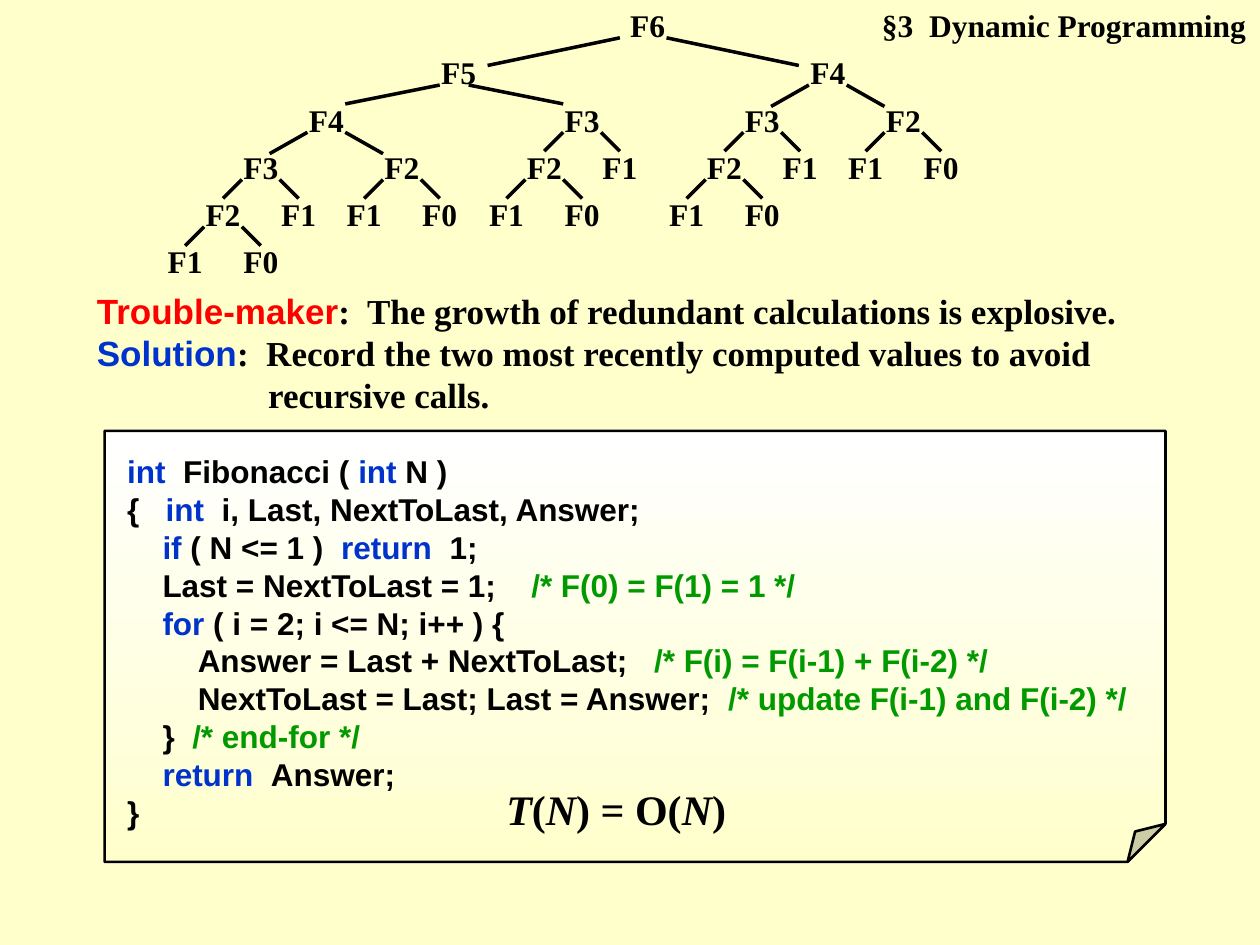
from lxml.etree import SubElement
from pptx import Presentation
from pptx.dml.color import RGBColor
from pptx.enum.shapes import MSO_CONNECTOR, MSO_SHAPE
from pptx.enum.text import MSO_ANCHOR, MSO_AUTO_SIZE, PP_ALIGN
from pptx.oxml.ns import qn
from pptx.util import Inches, Pt

BLACK, BLUE, RED, GREEN = "000000", "0033CC", "FF0000", "009900"
CREAM, WHITE = "FFFFCC", "FFFFFF"
SERIF, SANS = "Times New Roman", "Arial"


def colour(value):
    return RGBColor.from_string(value)


def write(para, text, size=18, font=SERIF, ink=BLACK, italic=False):
    span = para.add_run()
    span.text = text
    span.font.name = font
    span.font.size = Pt(size)
    span.font.bold = True
    span.font.italic = italic
    span.font.color.rgb = colour(ink)


deck = Presentation()
deck.slide_width, deck.slide_height = Inches(10), Inches(7.5)
page = deck.slides.add_slide(deck.slide_layouts[5])
page.background.fill.solid()
page.background.fill.fore_color.rgb = colour(CREAM)

# Section title
title = page.shapes.title
title.left, title.top = Inches(6.5), Inches(0)
title.width, title.height = Inches(3.49), Inches(0.4)
title.text_frame.auto_size = MSO_AUTO_SIZE.NONE
title.text_frame.vertical_anchor = MSO_ANCHOR.TOP
title.text_frame.paragraphs[0].alignment = PP_ALIGN.RIGHT
write(title.text_frame.paragraphs[0], "§3  Dynamic Programming")

# Call tree: F(n) branches into F(n-1) and F(n-2) down to F1 and F0
LEVEL_STEP = 0.375
# n: offsets of both children, offsets of both branch starts, branch run, drop
BRANCHES = {
    6: (-1.5, 1.43, -0.22, 0.15, 1.05, 0.22),
    5: (-1.05, 0.98, -0.15, 0.08, 0.75, 0.15),
    4: (-0.52, 0.6, -0.15, 0.15, 0.3, 0.17),
    3: (-0.3, 0.3, -0.15, 0.15, 0.15, 0.15),
    2: (-0.3, 0.3, -0.15, 0.15, 0.15, 0.15),
}
calls = [(6, 5.14, 0)]
for n, center, level in calls:
    top = level * LEVEL_STEP
    box = page.shapes.add_textbox(
        Inches(center - 0.3), Inches(top), Inches(0.6), Inches(0.4))
    box.text_frame.word_wrap = True
    para = box.text_frame.paragraphs[0]
    para.alignment = PP_ALIGN.CENTER
    write(para, f"F{n}")
    if n < 2:
        continue
    left_child, right_child, left_start, right_start, run, drop = BRANCHES[n]
    for child, offset, start, reach in (
        (n - 1, left_child, left_start, -run),
        (n - 2, right_child, right_start, run),
    ):
        calls.append((child, center + offset, level + 1))
        branch = page.shapes.add_connector(
            MSO_CONNECTOR.STRAIGHT,
            Inches(center + start), Inches(top + 0.3),
            Inches(center + start + reach), Inches(top + 0.3 + drop))
        branch.line.color.rgb = colour(BLACK)
        branch.line.width = Pt(2)
        SubElement(branch._element.spPr, qn("a:effectLst"))

# Problem and remedy
REMARKS = [
    (2.25, 8.5, 0.43, 0, "Trouble-maker", RED,
     ":  The growth of redundant calculations is explosive."),
    (2.58, 8.42, 0.77, 1.36, "Solution", BLUE,
     ":  Record the two most recently computed values to avoid recursive calls."),
]
for top, width, height, hanging, term, ink, remark in REMARKS:
    box = page.shapes.add_textbox(
        Inches(0.67), Inches(top), Inches(width), Inches(height))
    box.text_frame.word_wrap = True
    para = box.text_frame.paragraphs[0]
    layout = para._p.get_or_add_pPr()
    layout.set("marL", str(Inches(hanging)))
    layout.set("indent", str(Inches(-hanging)))
    write(para, term, size=20, font=SANS, ink=ink)
    write(para, remark, size=20)

# Code sheet
sheet = page.shapes.add_shape(
    MSO_SHAPE.FOLDED_CORNER,
    Inches(0.83), Inches(3.42), Inches(8.42), Inches(3.42))
fold_sizes = sheet._element.spPr.prstGeom.get_or_add_avLst()
SubElement(fold_sizes, qn("a:gd"), name="adj", fmla="val 8800")
sheet.shadow.inherit = False
sheet.fill.gradient()
sheet.fill.gradient_angle = 270
for stop, shade in zip(sheet.fill.gradient_stops, (WHITE, CREAM)):
    stop.color.rgb = colour(shade)
sheet.line.color.rgb = colour(BLACK)
sheet.line.width = Pt(1.5)

# Each code line: indent depth, then its coloured pieces
CODE = [
    (0, ("int", BLUE), ("  Fibonacci ( ", BLACK), ("int", BLUE), (" N )", BLACK)),
    (0, ("{   ", BLACK), ("int", BLUE), ("  i, Last, NextToLast, Answer;", BLACK)),
    (1, ("if", BLUE), (" ( N <= 1 )  ", BLACK), ("return", BLUE), ("  1;", BLACK)),
    (1, ("Last = NextToLast = 1;    ", BLACK), ("/* F(0) = F(1) = 1 */", GREEN)),
    (1, ("for", BLUE), (" ( i = 2; i <= N; i++ ) {", BLACK)),
    (2, ("Answer = Last + NextToLast;   ", BLACK),
     ("/* F(i) = F(i-1) + F(i-2) */", GREEN)),
    (2, ("NextToLast = Last; Last = Answer;  ", BLACK),
     ("/* update F(i-1) and F(i-2) */", GREEN)),
    (1, ("}  ", BLACK), ("/* end-for */", GREEN)),
    (1, ("return  ", BLUE), ("Answer;", BLACK)),
    (0, ("}", BLACK)),
]
frame = sheet.text_frame
frame.word_wrap = True
frame.vertical_anchor = MSO_ANCHOR.TOP
frame.margin_left, frame.margin_top = Inches(0.18), Inches(0.17)
frame.margin_right, frame.margin_bottom = Inches(0.1), Inches(0.05)
for number, (depth, *pieces) in enumerate(CODE):
    para = frame.add_paragraph() if number else frame.paragraphs[0]
    para.alignment = PP_ALIGN.LEFT
    para._p.get_or_add_pPr().set("marL", str(Inches(0.28 * depth)))
    for text, ink in pieces:
        write(para, text, font=SANS, ink=ink)

# Running time
box = page.shapes.add_textbox(
    Inches(3.92), Inches(6.17), Inches(2.17), Inches(0.5))
box.text_frame.word_wrap = True
for text in ("T", "(", "N", ") = O(", "N", ")"):
    write(box.text_frame.paragraphs[0], text, size=24, italic=text in ("T", "N"))

deck.save("out.pptx")
